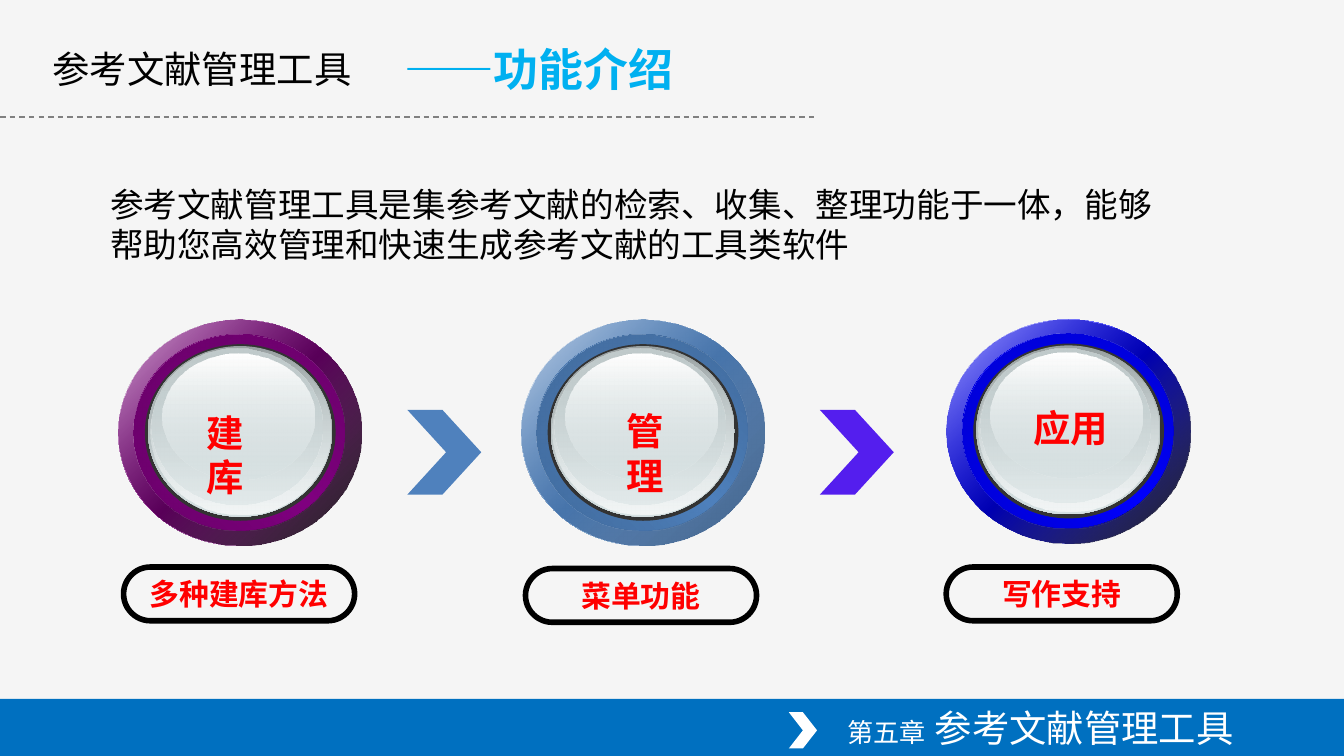
from dataclasses import dataclass

from lxml.etree import SubElement
from pptx import Presentation
from pptx.dml.color import RGBColor
from pptx.enum.dml import MSO_LINE
from pptx.enum.shapes import MSO_CONNECTOR, MSO_SHAPE
from pptx.enum.text import MSO_ANCHOR, MSO_AUTO_SIZE, PP_ALIGN
from pptx.oxml.ns import qn
from pptx.util import Pt


@dataclass(frozen=True)
class Theme:
    font: str = "Noto Sans CJK SC"
    background: str = "F5F5F5"
    black: str = "000000"
    white: str = "FFFFFF"
    red: str = "FF0000"
    sky: str = "00B0F0"
    footer: str = "0070C0"
    rule: str = "808080"
    steel: str = "4F81BD"
    violet: str = "541EEE"
    rim: str = "333333"
    glass: str = "D6E1E2"
    glass_dark: str = "99A1A2"
    glass_mid: str = "C1CBCC"
    glass_light: str = "F2F5F5"
    chapter: int = 14
    caption: int = 16
    body: int = 18
    title: int = 20
    subtitle: int = 24


@dataclass(frozen=True)
class Button:
    label: str
    caption: str
    color: str
    bevel: str
    shade: str
    edge: tuple
    place: tuple
    caption_place: tuple
    label_place: tuple
    align: PP_ALIGN = PP_ALIGN.LEFT
    squeeze: float = 1


THEME = Theme()
BUTTONS = [
    Button("建库", "多种建库方法", "800080", "620062", "690069", (100, THEME.black, 90),
           (63.4, 171.4), (66.2, 303.8), (103.7, 216, 53.3, 30)),
    Button("管理", "菜单功能", THEME.steel, "3C6391", "416A9B", (100, "395C87", 100),
           (279.2, 171.4), (281.5, 304.6), (319.7, 215.3, 51.8, 31.7), PP_ALIGN.CENTER),
    Button("应用", "写作支持", "0000FF", "0000C3", "0000D1", (100, THEME.black, 90),
           (507.2, 171.2), (506.9, 303.8), (546.5, 213.8, 56.9, 28.8), squeeze=0.99),
]


def style_run(span, size, color, bold=False):
    span.font.size = Pt(size)
    span.font.bold = bold
    span.font.color.rgb = RGBColor.from_string(color)
    span.font.name = THEME.font
    SubElement(span.font._element, qn("a:ea"), typeface=THEME.font)


def write(box, text, size, color, bold=False, align=PP_ALIGN.LEFT, anchor=MSO_ANCHOR.TOP):
    frame = box.text_frame
    frame.text = text
    frame.word_wrap = True
    frame.auto_size = MSO_AUTO_SIZE.NONE
    frame.vertical_anchor = anchor
    para = frame.paragraphs[0]
    para.alignment = align
    para.space_before = Pt(0)
    style_run(para.runs[0], size, color, bold)
    return para


def move(box, left, top, width, height):
    box.left, box.top, box.width, box.height = Pt(left), Pt(top), Pt(width), Pt(height)


def add_text(shapes, place, text, size, color, **options):
    box = shapes.add_textbox(*map(Pt, place))
    return write(box, text, size, color, **options)


def add_plain(shapes, kind, place, color=None, adjust=None):
    shape = shapes.add_shape(kind, *map(Pt, place))
    shape.shadow.inherit = False
    shape.line.fill.background()
    if color:
        shape.fill.solid()
        shape.fill.fore_color.rgb = RGBColor.from_string(color)
    else:
        shape.fill.background()
    if adjust is not None:
        shape.adjustments[0] = adjust
    return shape


def apply_gradient(shape, angle, stops):
    shape.fill.gradient()
    gradient = shape._element.spPr.find(qn("a:gradFill"))
    for child in list(gradient):
        gradient.remove(child)
    stop_list = SubElement(gradient, qn("a:gsLst"))
    for position, color, opacity in stops:
        stop = SubElement(stop_list, qn("a:gs"), pos=str(position * 1000))
        tone = SubElement(stop, qn("a:srgbClr"), val=color)
        if opacity < 100:
            SubElement(tone, qn("a:alpha"), val=str(opacity * 1000))
    SubElement(gradient, qn("a:lin"), ang=str(angle * 60000), scaled="1")


def add_button(page, button):
    shapes = page.shapes.add_group_shape().shapes
    color, white, glass = button.color, THEME.white, THEME.glass
    outer = (0, 0, 130.3, 121)
    ring = (8.3, 7.7, 113, 105.1)
    layers = [
        (outer, 45, [(0, white, 100), (50, color, 100), (100, white, 100)]),
        (outer, 45, [(0, color, 32), button.edge]),
        (ring, 315, [(0, button.bevel, 100), (50, color, 100), (100, button.bevel, 100)]),
        (ring, 45, [(0, button.shade, 100), (100, color, 0)]),
        ((14.2, 13, 102.2, 94.6), 0, None),
        ((15.9, 14, 98.6, 91.4), 90, [(0, THEME.glass_dark, 100), (100, glass, 100)]),
        ((17, 14.8, 96.5, 89.3), 90, [(0, glass, 0), (100, THEME.glass_light, 100)]),
        ((18, 15.5, 91.4, 83.5), 90, [(0, THEME.glass_mid, 100), (100, glass, 48)]),
        ((23.7, 18, 81.4, 67.7), 90, [(0, white, 100), (100, glass, 38)]),
    ]
    left, top = button.place
    for (x, y, width, height), angle, stops in layers:
        place = (left + x, top + y * button.squeeze, width, height * button.squeeze)
        disc = add_plain(shapes, MSO_SHAPE.OVAL, place, THEME.rim)
        if stops:
            apply_gradient(disc, angle, stops)

    pill = add_plain(shapes, MSO_SHAPE.ROUNDED_RECTANGLE,
                     (*button.caption_place, 123.8, 28.8), adjust=0.5)
    pill.line.color.rgb = RGBColor.from_string(THEME.black)
    pill.line.width = Pt(3)
    write(pill, button.caption, THEME.caption, THEME.red, bold=True,
          align=PP_ALIGN.CENTER, anchor=MSO_ANCHOR.MIDDLE)
    pill.text_frame.word_wrap = False
    add_text(shapes, button.label_place, button.label, THEME.title, THEME.red,
             bold=True, align=button.align)


def add_rule(page):
    rule = page.shapes.add_connector(MSO_CONNECTOR.STRAIGHT, Pt(0), Pt(62.6), Pt(436.3), Pt(62.6))
    rule.line.color.rgb = RGBColor.from_string(THEME.rule)
    rule.line.width = Pt(0.75)
    rule.line.dash_style = MSO_LINE.DASH
    SubElement(rule._element.spPr, qn("a:effectLst"))


def add_footer(page):
    add_plain(page.shapes, MSO_SHAPE.RECTANGLE, (0, 374.4, 720, 30.6), THEME.footer)
    para = add_text(page.shapes, (48.2, 373.7, 619.9, 31.7), "第五章", THEME.chapter,
                    THEME.white, align=PP_ALIGN.RIGHT, anchor=MSO_ANCHOR.MIDDLE)
    span = para.add_run()
    span.text = " 参考文献管理工具"
    style_run(span, THEME.title, THEME.white)
    add_plain(page.shapes, MSO_SHAPE.CHEVRON, (422.6, 381.6, 15.1, 19.4), THEME.white)


def fill_placeholders(page):
    title, body = page.shapes.title, page.placeholders[1]
    move(title, 20.9, 20.9, 190.1, 31.7)
    write(title, "参考文献管理工具", THEME.title, THEME.black)
    move(body, 51.8, 95, 589.7, 51.1)
    para = write(body, "参考文献管理工具是集参考文献的检索、收集、整理功能于一体，"
                 "能够帮助您高效管理和快速生成参考文献的工具类软件", THEME.body, THEME.black)
    properties = para._p.get_or_add_pPr()
    properties.set("marL", "0")
    properties.set("indent", "0")
    SubElement(properties, qn("a:buNone"))


def main():
    deck = Presentation()
    deck.slide_width, deck.slide_height = Pt(720), Pt(405)
    page = deck.slides.add_slide(deck.slide_layouts[1])
    page.background.fill.solid()
    page.background.fill.fore_color.rgb = RGBColor.from_string(THEME.background)
    add_rule(page)
    add_footer(page)
    fill_placeholders(page)
    add_text(page.shapes, (209.5, 18.7, 326.2, 36), "——功能介绍",
             THEME.subtitle, THEME.sky, bold=True)
    for button in BUTTONS:
        add_button(page, button)
    for left, color in ((218.2, THEME.steel), (439.2, THEME.violet)):
        add_plain(page.shapes, MSO_SHAPE.CHEVRON, (left, 219.6, 39.6, 45.4), color, 0.525)
    deck.save("out.pptx")


if __name__ == "__main__":
    main()
